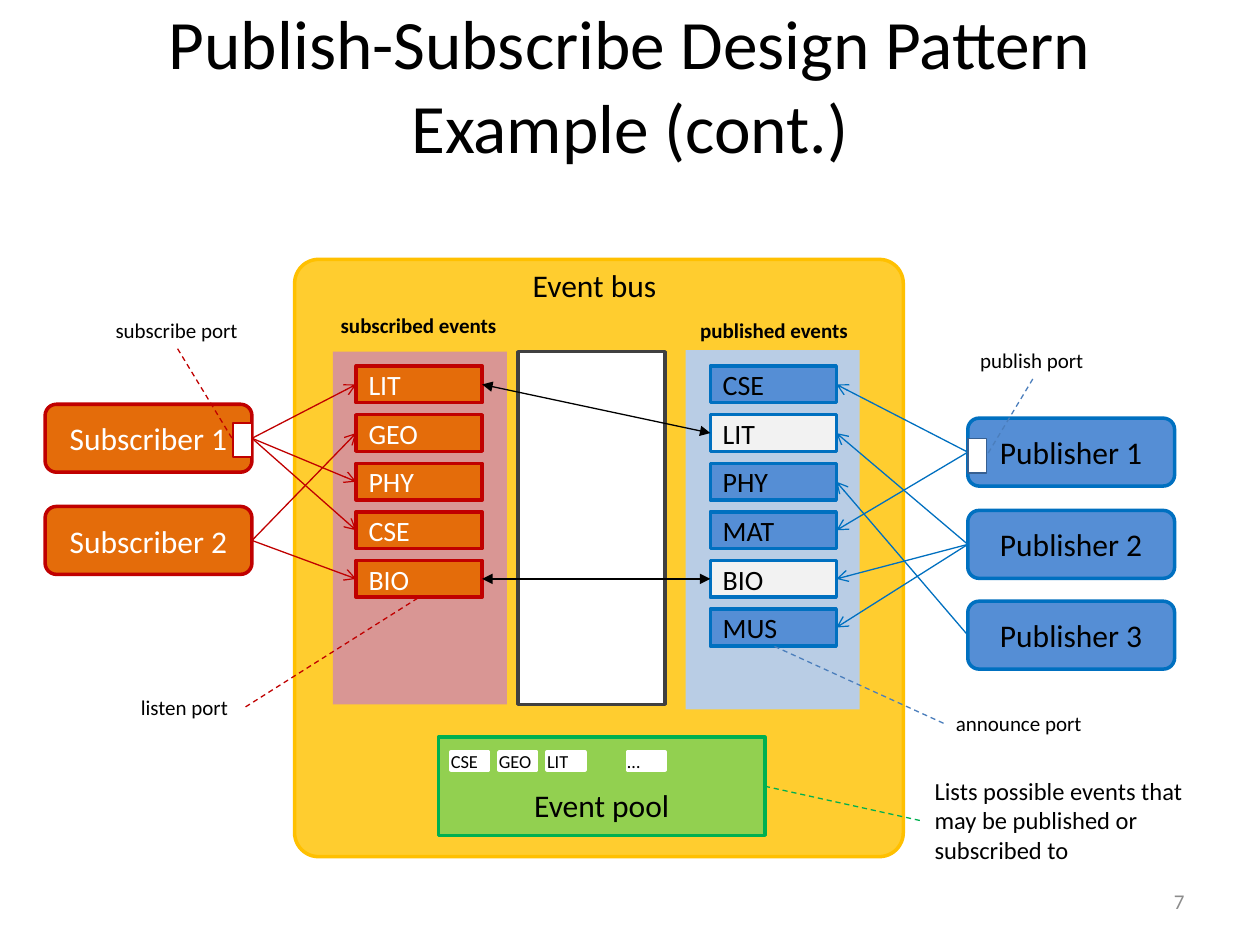
from lxml import etree
from pptx import Presentation
from pptx.dml.color import RGBColor
from pptx.enum.dml import MSO_LINE
from pptx.enum.shapes import MSO_CONNECTOR, MSO_SHAPE
from pptx.enum.text import MSO_ANCHOR, MSO_AUTO_SIZE, PP_ALIGN
from pptx.oxml.ns import qn
from pptx.util import Cm, Pt

RECT, ROUND = MSO_SHAPE.RECTANGLE, MSO_SHAPE.ROUNDED_RECTANGLE
STRAIGHT, DASH = MSO_CONNECTOR.STRAIGHT, MSO_LINE.DASH
LEFT, CENTER, RIGHT = PP_ALIGN.LEFT, PP_ALIGN.CENTER, PP_ALIGN.RIGHT
TOP, MIDDLE, BOTTOM = MSO_ANCHOR.TOP, MSO_ANCHOR.MIDDLE, MSO_ANCHOR.BOTTOM
GROW = MSO_AUTO_SIZE.SHAPE_TO_FIT_TEXT
SITE = {"top": 0, "left": 1, "bottom": 2, "right": 3}

THEME = {
    "font": "Calibri",
    "size": {"title": 39.6, "head": 18, "topic": 16, "note": 14, "label": 12, "chip": 10.5},
    "color": {
        "black": "000000", "white": "FFFFFF", "gray": "8C8C8C", "dark": "404040",
        "bus": "FFCD2F", "gold": "FFC000", "lime": "92D050", "green": "00B050",
        "orange": "E46C0A", "red": "C00000", "rose": "D99694",
        "blue": "558ED5", "navy": "0070C0", "sky": "B9CDE5", "pale": "F2F2F2",
        "steel": "376092", "slate": "4B7EBC",
    },
}

# Content; places are left, top, width, height in cm
TITLE = "Publish-Subscribe Design Pattern Example (cont.)"
PANELS = [  # place, fill, line
    ((10.44, 7.09, 2.97, 7.11), "white", "dark"),
    ((13.82, 7.06, 3.51, 7.24), "sky", None),
    ((6.71, 7.09, 3.51, 7.11), "rose", None),
]
SIDES = {
    "sub": {
        "fill": "orange", "line": "red", "ink": "white", "out": "right", "into": "left",
        "topic_x": 7.18, "topics": ["LIT", "GEO", "PHY", "CSE", "BIO"],
        "node_x": 0.91, "nodes": [
            ("Subscriber 1", 8.15, ["LIT", "PHY", "CSE"]),
            ("Subscriber 2", 10.21, ["BIO", "GEO"]),
        ],
        "port": (4.7, 8.53), "port_line": "red",
    },
    "pub": {
        "fill": "blue", "line": "navy", "ink": "black", "out": "left", "into": "right",
        "topic_x": 14.32, "topics": ["CSE", "LIT", "PHY", "MAT", "BIO", "MUS"],
        "node_x": 19.51, "nodes": [
            ("Publisher 1", 8.43, ["CSE", "MAT"]),
            ("Publisher 2", 10.29, ["LIT", "BIO", "MUS"]),
            ("Publisher 3", 12.12, ["PHY"]),
        ],
        "port": (19.51, 8.84), "port_line": "steel",
    },
}
MATCHED = ["LIT", "BIO"]
POOL = (8.84, 14.86, 6.58, 1.98)
CHIPS = [("CSE", 9.09), ("GEO", 10.06), ("LIT", 11.03), ("…", 12.65)]
LABELS = [  # text, place, size, format
    ("Event bus", (10.49, 5.23, 3.02, 1.02), "head", {}),
    ("subscribed events", (6.6, 6.17, 3.68, 0.76), "label", {"bold": True, "align": CENTER}),
    ("published events", (13.84, 6.27, 3.53, 0.76), "label", {"bold": True, "align": CENTER}),
    ("subscribe port", (2.08, 6.27, 3, 0.76), "label", {}),
    ("publish port", (19.51, 6.88, 2.62, 0.76), "label", {}),
    ("listen port", (2.59, 13.87, 2.36, 0.76), "label", {}),
    ("announce port", (19.02, 14.2, 3.07, 0.76), "label", {}),
    ("Lists possible events that may be published or subscribed to",
     (18.59, 15.52, 6.1, 2.06), "note", {"wrap": True}),
    ("7", (18.21, 17.65, 5.92, 1.02), "label",
     {"wrap": True, "ink": "gray", "align": RIGHT, "anchor": MIDDLE, "fit": None}),
]
CALLOUTS = [  # from, side, to, side, colour
    ("subscribe port", "bottom", ("sub", "port"), "left", "red"),
    ("publish port", "bottom", ("pub", "port"), "right", "slate"),
    ("listen port", "right", ("sub", "BIO"), "bottom", "red"),
    ("announce port", "left", ("pub", "MUS"), "bottom", "slate"),
    ("pool", "right", LABELS[7][0], "left", "green"),
]
TOPIC_TOP, TOPIC_STEP = 7.38, 0.98


def color(name):
    return RGBColor.from_string(THEME["color"][name])


def assign(item, values):
    for name, value in values.items():
        setattr(item, name, value)


def write(shape, text, size, ink="black", bold=False, align=LEFT, anchor=MIDDLE,
          wrap=True, **frame):
    body = shape.text_frame
    assign(body, {"text": text, "word_wrap": wrap, "vertical_anchor": anchor, **frame})
    para = body.paragraphs[0]
    para.alignment = align
    font = para.runs[0].font
    assign(font, {"name": THEME["font"], "size": Pt(THEME["size"][size]), "bold": bold})
    font.color.rgb = color(ink)


def box(slide, kind, place, fill, line=None, width=2):
    shape = slide.shapes.add_shape(kind, *map(Cm, place))
    shape.shadow.inherit = False
    shape.fill.solid()
    shape.fill.fore_color.rgb = color(fill)
    if line:
        shape.line.color.rgb = color(line)
        shape.line.width = Pt(width)
    else:
        shape.line.fill.background()
    return shape


def label(slide, text, place, size, wrap=False, anchor=TOP, fit=GROW, **form):
    shape = slide.shapes.add_textbox(*map(Cm, place))
    write(shape, text, size, wrap=wrap, anchor=anchor, auto_size=fit, **form)
    return shape


def link(slide, start, out, end, into, ink, head=None, tail=None, dash=None):
    """Join two shapes at the named sides."""
    line = slide.shapes.add_connector(STRAIGHT, 0, 0, 0, 0)
    line.begin_connect(start, SITE[out])
    line.end_connect(end, SITE[into])
    line.line.color.rgb = color(ink)
    assign(line.line, {"width": Pt(0.75), "dash_style": dash})
    props = line.element.spPr
    for tag, mark in (("a:headEnd", head), ("a:tailEnd", tail)):
        if mark:
            etree.SubElement(props.find(qn("a:ln")), qn(tag), type=mark)
    etree.SubElement(props, qn("a:effectLst"))


def main():
    deck = Presentation()
    deck.slide_width, deck.slide_height = Cm(25.4), Cm(19.05)
    slide = deck.slides.add_slide(deck.slide_layouts[5])
    title = slide.shapes.title
    assign(title, dict(zip(("left", "top", "width", "height"), map(Cm, (1.27, 0.1, 22.86, 3.18)))))
    write(title, TITLE, "title", align=CENTER)

    bus = box(slide, ROUND, (5.94, 5.23, 12.27, 12.04), "bus", "gold")
    bus.adjustments[0] = 0.04
    for place, fill, line in PANELS:
        box(slide, RECT, place, fill, line)

    parts = {}
    for text, place, size, form in LABELS:
        parts[text] = label(slide, text, place, size, **form)

    parts["pool"] = box(slide, RECT, POOL, "lime", "green")
    write(parts["pool"], "Event pool", "head", align=CENTER, anchor=BOTTOM, margin_bottom=Cm(0.23))
    for text, left in CHIPS:
        chip = box(slide, RECT, (left, 15.16, 0.76, 0.36), "white", "white")
        write(chip, text, "chip", margin_left=0, margin_right=0)

    for key, side in SIDES.items():
        fill, line, ink = side["fill"], side["line"], side["ink"]
        for row, text in enumerate(side["topics"]):
            tint = "pale" if key == "pub" and text in MATCHED else fill
            place = (side["topic_x"], TOPIC_TOP + row * TOPIC_STEP, 2.54, 0.74)
            parts[key, text] = box(slide, RECT, place, tint, line)
            write(parts[key, text], text, "topic", ink)
        for text, top, topics in side["nodes"]:
            node = box(slide, ROUND, (side["node_x"], top, 4.17, 1.37), fill, line)
            write(node, text, "head", ink, align=CENTER)
            for topic in topics:
                link(slide, node, side["out"], parts[key, topic], side["into"], line, tail="arrow")
        parts[key, "port"] = box(slide, RECT, (*side["port"], 0.38, 0.69), "white",
                                 side["port_line"], 1)

    for topic in MATCHED:
        link(slide, parts["sub", topic], "right", parts["pub", topic], "left", "black",
             head="triangle", tail="triangle")
    for start, out, end, into, ink in CALLOUTS:
        link(slide, parts[start], out, parts[end], into, ink, dash=DASH)
    deck.save("out.pptx")


if __name__ == "__main__":
    main()
